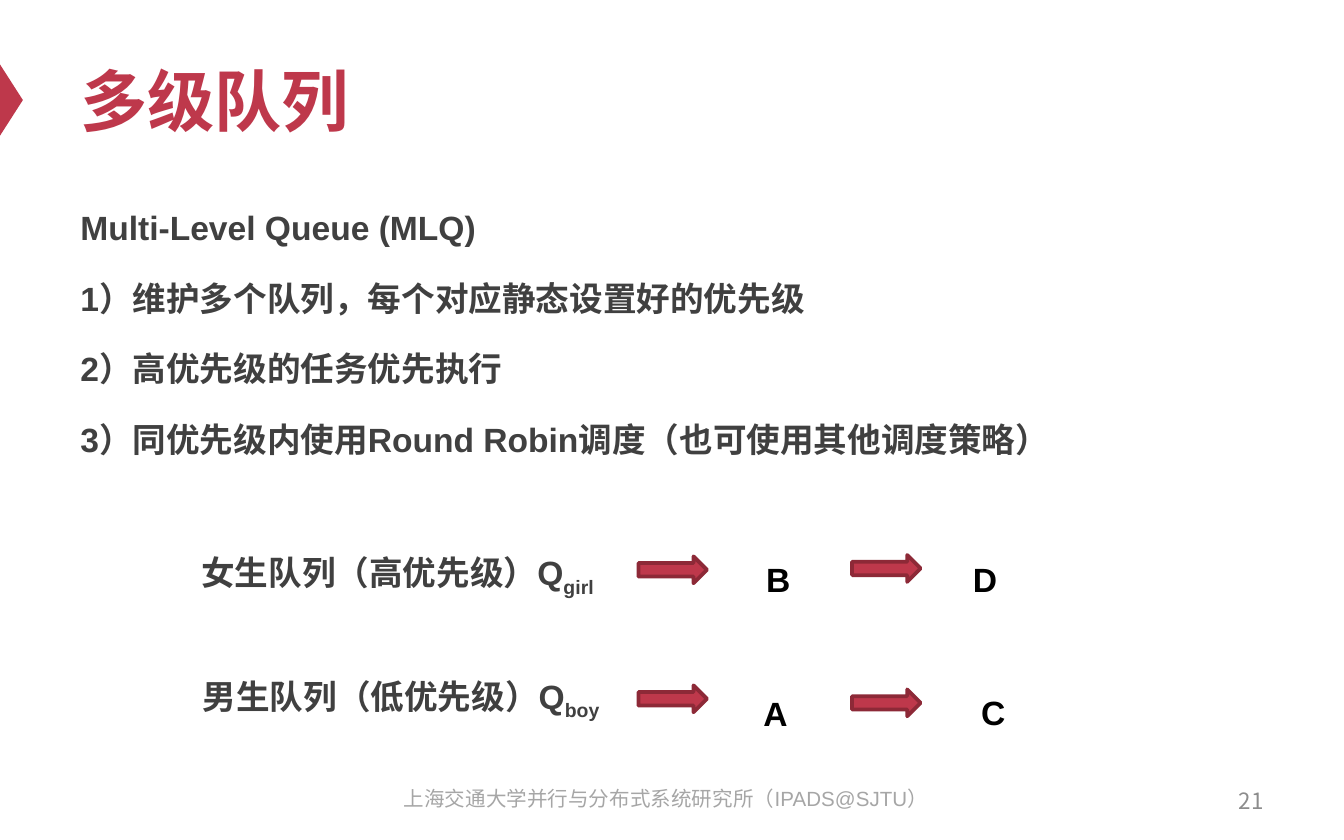
import lxml.etree
import pptx
import pptx.dml.color
import pptx.enum.shapes
import pptx.enum.text
import pptx.oxml.ns
import pptx.util

Inches = pptx.util.Inches
Pt = pptx.util.Pt
Align = pptx.enum.text.PP_ALIGN
Anchor = pptx.enum.text.MSO_ANCHOR
Preset = pptx.enum.shapes.MSO_SHAPE

COLORS = {
    "accent": "BE384B",
    "outline": "8D2937",
    "body": "404040",
    "label": "000000",
    "footer": "A6A6A6",
    "number": "8C8C8C",
}


class SlideBuilder:
    """Hold the deck style and the current slide, and add its elements."""

    latin_font = "Arial"
    asian_font = "Noto Sans CJK SC"

    def __init__(self, slide):
        self.slide = slide

    def color(self, name):
        return pptx.dml.color.RGBColor.from_string(COLORS[name])

    def add_run(self, paragraph, text, size, color, bold, font, baseline=0):
        run = paragraph.add_run()
        run.text = text
        run.font.size = Pt(size)
        run.font.bold = bold
        run.font.color.rgb = self.color(color)
        run.font.name = font or self.latin_font
        properties = run._r.get_or_add_rPr()
        asian = lxml.etree.SubElement(properties, pptx.oxml.ns.qn("a:ea"))
        asian.set("typeface", self.asian_font)
        if baseline:
            properties.set("baseline", str(baseline * 1000))

    def add_text(self, box, paragraphs, size=18, color="body", bold=True, font=None,
                 align=Align.LEFT, anchor=Anchor.TOP, line_spacing=1.0, gap=0):
        shape = self.slide.shapes.add_textbox(*map(Inches, box))
        frame = shape.text_frame
        frame.word_wrap = True
        frame.vertical_anchor = anchor
        for index, runs in enumerate(paragraphs):
            paragraph = frame.add_paragraph() if index else frame.paragraphs[0]
            paragraph.alignment = align
            paragraph.line_spacing = line_spacing
            paragraph.space_before = Pt(gap if index else 0)
            for text, baseline in runs:
                self.add_run(paragraph, text, size, color, bold, font, baseline)

    def add_body(self, box, paragraphs):
        self.add_text(box, paragraphs, line_spacing=1.2, gap=12)

    def add_task(self, left, top, name):
        self.add_text((left, top, 1, 0.4), [[(name, 0)]], color="label", align=Align.CENTER)

    def add_shape(self, preset, box, outline=None, rotation=0):
        shape = self.slide.shapes.add_shape(preset, *map(Inches, box))
        shape.shadow.inherit = False
        shape.rotation = rotation
        shape.fill.solid()
        shape.fill.fore_color.rgb = self.color("accent")
        if outline:
            shape.line.color.rgb = self.color(outline)
            shape.line.width = Pt(2)
        else:
            shape.line.fill.background()

    def add_arrow(self, left, top):
        self.add_shape(Preset.RIGHT_ARROW, (left, top, 0.51, 0.2), outline="outline")


def main():
    presentation = pptx.Presentation()
    presentation.slide_width = Inches(10)
    presentation.slide_height = Inches(6.25)
    builder = SlideBuilder(presentation.slides.add_slide(presentation.slide_layouts[6]))

    builder.add_shape(Preset.ISOSCELES_TRIANGLE, (-0.18, 0.66, 0.53, 0.17), rotation=90)
    builder.add_text((0.5, 0.25, 9, 0.98), [[("多级队列", 0)]], size=36,
                     color="accent", anchor=Anchor.MIDDLE)

    points = [
        "Multi-Level Queue (MLQ)",
        "1）维护多个队列，每个对应静态设置好的优先级",
        "2）高优先级的任务优先执行",
        "3）同优先级内使用Round Robin调度（也可使用其他调度策略）",
    ]
    builder.add_body((0.5, 1.43, 8.83, 2.17), [[(point, 0)] for point in points])

    queues = [
        ((1.4, 3.99, 3.6, 0.64), "女生队列（高优先级）Q", "girl",
         [(4.75, 4.14), (6.34, 4.13)], [(5.29, 4.11, "B"), (6.83, 4.11, "D")]),
        ((1.41, 4.91, 3.43, 0.64), "男生队列（低优先级）Q", "boy",
         [(4.75, 5.1), (6.34, 5.13)], [(5.27, 5.11, "A"), (6.89, 5.1, "C")]),
    ]
    for box, label, subscript, arrows, tasks in queues:
        builder.add_body(box, [[(label, 0), (subscript, -25)]])
        for arrow in arrows:
            builder.add_arrow(*arrow)
        for task in tasks:
            builder.add_task(*task)

    builder.add_text((2.79, 5.8, 4.33, 0.33),
                     [[("上海交通大学并行与分布式系统研究所（IPADS@SJTU）", 0)]],
                     size=11, color="footer", bold=False, align=Align.CENTER)
    builder.add_text((7.17, 5.79, 2.33, 0.33), [[("21", 0)]], size=12, color="number",
                     bold=False, font=builder.asian_font, align=Align.RIGHT,
                     anchor=Anchor.MIDDLE)

    presentation.save("out.pptx")


if __name__ == "__main__":
    main()
